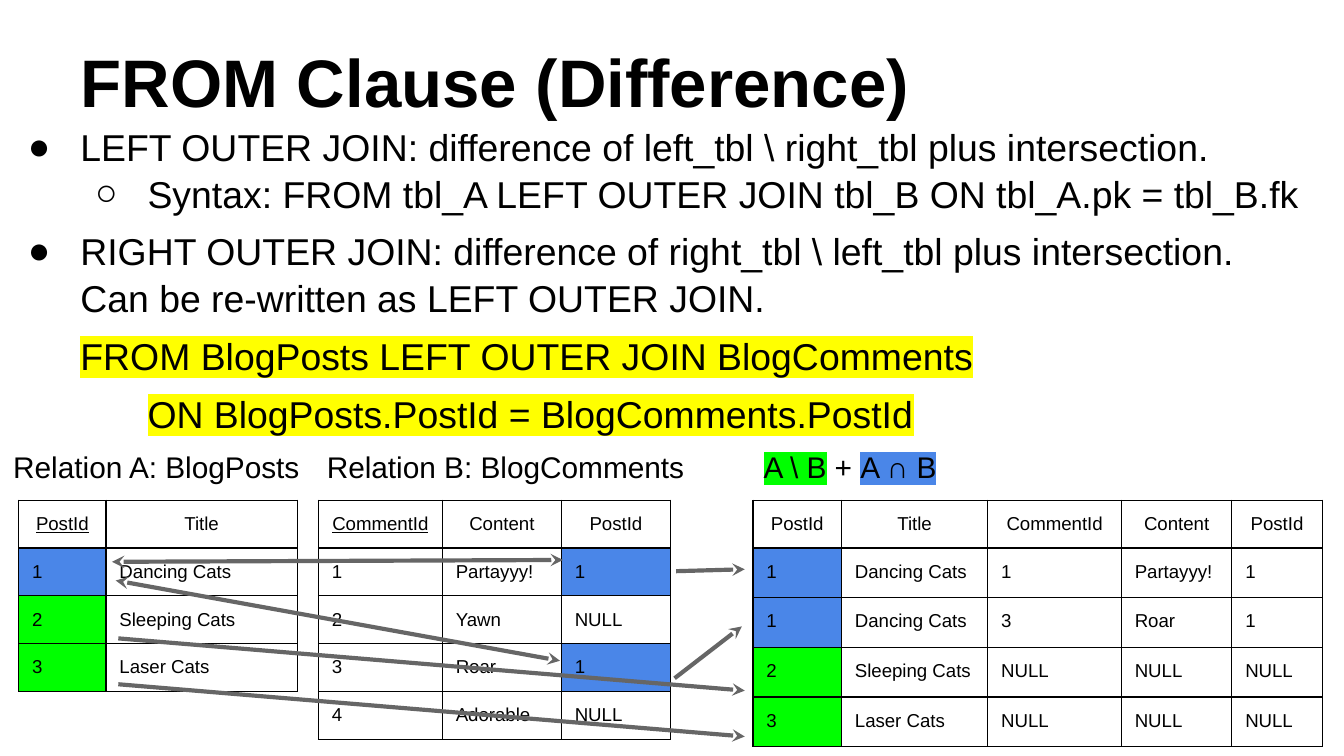
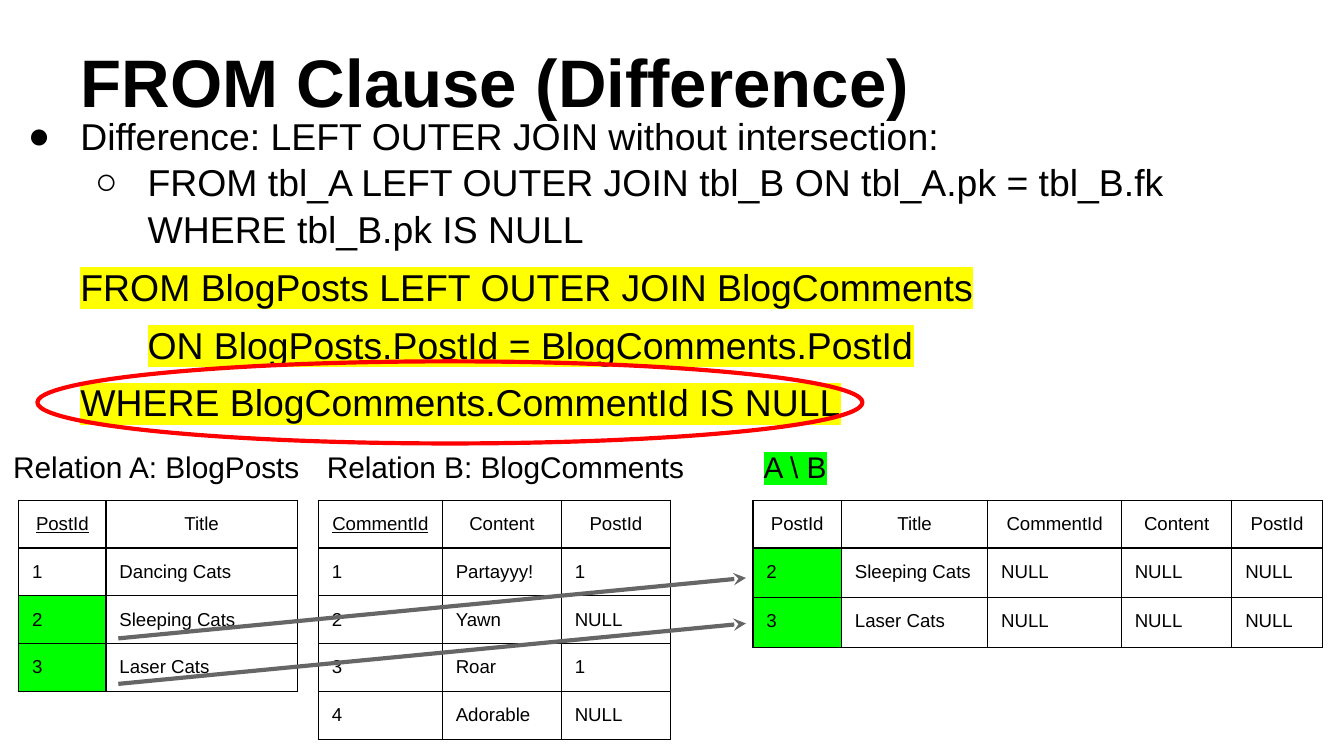
from lxml import etree
from pptx import Presentation
from pptx.dml.color import RGBColor
from pptx.enum import shapes, text
from pptx.oxml.ns import qn
from pptx.util import Pt

FONT = "Arial"
BLACK, GREY, RED = "000000", "666666", "FF0000"
YELLOW, GREEN, BLUE = "FFFF00", "00FF00", "4A86E8"
PAD = 7.2
TABLE_TOP = 268
LABEL_TOP = 232.6
MARGINS = ("margin_left", "margin_top", "margin_right", "margin_bottom")
HANG = 28.08
LEVELS = {"●": (36, -HANG, 6), "○": (72, -HANG, 0), None: (36, 0, 6)}

POSTS = [["PostId", "Title"], ["1", "Dancing Cats"], ["2", "Sleeping Cats"], ["3", "Laser Cats"]]
COMMENTS = [
    ["CommentId", "Content", "PostId"],
    ["1", "Partayyy!", "1"],
    ["2", "Yawn", "NULL"],
    ["3", "Roar", "1"],
    ["4", "Adorable", "NULL"],
]
JOIN_HEAD = POSTS[0] + COMMENTS[0]
MATCHED = [POSTS[1] + COMMENTS[1], POSTS[1] + COMMENTS[3]]
UNMATCHED = [row + ["NULL"] * 3 for row in POSTS[2:]]
QUERY = [
    (None, "FROM BlogPosts LEFT OUTER JOIN BlogComments"),
    (None, "\tON BlogPosts.PostId = BlogComments.PostId"),
]


def rgb(value):
    return RGBColor.from_string(value)


def apply(obj, **values):
    for name, value in values.items():
        setattr(obj, name, value)


def sub(parent, tag, **attrs):
    return etree.SubElement(parent, qn(tag), attrs)


def add_run(p, content, size, highlight=None, **font):
    r = p.add_run()
    r.text = content
    apply(r.font, size=Pt(size), name=FONT, **font)
    r.font.color.rgb = rgb(BLACK)
    if highlight:
        mark = etree.Element(qn("a:highlight"))
        sub(mark, "a:srgbClr", val=highlight)
        r._r.rPr.find(qn("a:solidFill")).addnext(mark)


def set_frame(tf, anchor):
    apply(tf, word_wrap=True, auto_size=text.MSO_AUTO_SIZE.NONE, vertical_anchor=anchor)
    apply(tf, **dict.fromkeys(MARGINS, Pt(PAD)))


def add_text(slide, left, top, width, height):
    tf = slide.shapes.add_textbox(Pt(left), Pt(top), Pt(width), Pt(height)).text_frame
    set_frame(tf, text.MSO_ANCHOR.TOP)
    return tf


def add_title(slide, content):
    sp = slide.shapes.title
    apply(sp, left=Pt(36), top=Pt(4.4), width=Pt(648), height=Pt(67.6))
    set_frame(sp.text_frame, text.MSO_ANCHOR.BOTTOM)
    p = sp.text_frame.paragraphs[0]
    p.alignment = text.PP_ALIGN.LEFT
    add_run(p, content, 36, bold=True)


def add_bullets(slide, top, items):
    tf = add_text(slide, 0, top, 720, 132)
    for i, (bullet, content) in enumerate(items):
        p = tf.add_paragraph() if i else tf.paragraphs[0]
        indent, hang, before = LEVELS[bullet]
        apply(p, level=int(bullet == "○"), space_before=Pt(before), line_spacing=1.04)
        pPr = p._p.get_or_add_pPr()
        pPr.set("marL", str(Pt(indent)))
        pPr.set("indent", str(Pt(hang)))
        if bullet:
            sub(sub(pPr, "a:buClr"), "a:srgbClr", val=BLACK)
            sub(pPr, "a:buFont", typeface=FONT)
            sub(pPr, "a:buChar", char=bullet)
        for n, line in enumerate(content.split("\n")):
            if n:
                p.add_line_break()
            add_run(p, line, 20, None if bullet else YELLOW)


def add_label(slide, left, width, runs):
    p = add_text(slide, left, LABEL_TOP, width, 44).paragraphs[0]
    apply(p, space_before=Pt(6), line_spacing=1.04)
    for content, highlight in runs:
        add_run(p, content, 16, highlight)


def set_borders(cell):
    tcPr = cell._tc.get_or_add_tcPr()
    for i, side in enumerate("LRTB"):
        ln = etree.Element(qn(f"a:ln{side}"), w=str(Pt(0.75)))
        sub(sub(ln, "a:solidFill"), "a:srgbClr", val=BLACK)
        tcPr.insert(i, ln)


def add_relation(slide, left, widths, heights, rows, fills, keyed=True):
    frame = slide.shapes.add_table(
        len(rows), len(widths), Pt(left), Pt(TABLE_TOP), Pt(sum(widths)), Pt(sum(heights)))
    table = frame.table
    apply(table, first_row=False, horz_banding=False)
    for column, width in zip(table.columns, widths):
        column.width = Pt(width)
    for i, (row, height) in enumerate(zip(rows, heights)):
        table.rows[i].height = Pt(height)
        for j, content in enumerate(row):
            cell = table.cell(i, j)
            apply(cell, **dict.fromkeys(MARGINS, Pt(PAD)))
            if (i, j) in fills:
                cell.fill.solid()
                cell.fill.fore_color.rgb = rgb(fills[i, j])
            else:
                cell.fill.background()
            set_borders(cell)
            p = cell.text_frame.paragraphs[0]
            p.alignment = text.PP_ALIGN.LEFT if i else text.PP_ALIGN.CENTER
            add_run(p, content, 10, underline=keyed and i == 0 and j == 0)


def add_arrow(slide, start, end, both=False):
    line = slide.shapes.add_connector(
        shapes.MSO_CONNECTOR.STRAIGHT, *(Pt(v) for v in start + end))
    line.line.width = Pt(2.25)
    line.line.color.rgb = rgb(GREY)
    ln = line.line._get_or_add_ln()
    for tag in ("a:headEnd", "a:tailEnd")[not both:]:
        sub(ln, tag, type="stealth", w="med", len="med")
    sub(line._element.spPr, "a:effectLst")


def add_ring(slide, left, top, width, height):
    sp = slide.shapes.add_shape(
        shapes.MSO_SHAPE.OVAL, Pt(left), Pt(top), Pt(width), Pt(height))
    sp.shadow.inherit = False
    sp.fill.background()
    sp.line.width = Pt(2.25)
    sp.line.color.rgb = rgb(RED)


def add_join_slide(prs, top, items, post_fills, comment_fills, result, result_fills, formula, arrows):
    slide = prs.slides.add_slide(prs.slide_layouts[5])
    add_title(slide, "FROM Clause (Difference)")
    add_bullets(slide, top, items)
    add_relation(slide, 10, [46.8, 102.4], [23] * 4, POSTS, post_fills)
    add_relation(slide, 403.4, [47.4, 78.4, 71.6, 59.2, 48.4], [15] + [26.6] * len(result),
                 [JOIN_HEAD] + result, result_fills, keyed=False)
    add_relation(slide, 170.6, [66.4, 63.8, 58.4], [23] * 5, COMMENTS, comment_fills)
    add_label(slide, 0, 171.4, [("Relation A: BlogPosts", None)])
    add_label(slide, 168, 213, [("Relation B: BlogComments", None)])
    add_label(slide, 402, 206.6, formula)
    for arrow in arrows:
        add_arrow(slide, *arrow)
    return slide


def main():
    prs = Presentation()
    apply(prs, slide_width=Pt(720), slide_height=Pt(405))
    unmatched_posts = {(2, 0): GREEN, (3, 0): GREEN}
    add_join_slide(
        prs, 58.4,
        [
            ("●", "LEFT OUTER JOIN: difference of left_tbl \\ right_tbl plus intersection."),
            ("○", "Syntax: FROM tbl_A LEFT OUTER JOIN tbl_B ON tbl_A.pk = tbl_B.fk"),
            ("●", "RIGHT OUTER JOIN: difference of right_tbl \\ left_tbl plus intersection.\n"
                  "Can be re-written as LEFT OUTER JOIN."),
        ] + QUERY,
        {(1, 0): BLUE, **unmatched_posts},
        {(1, 2): BLUE, (3, 2): BLUE},
        MATCHED + UNMATCHED,
        {(1, 0): BLUE, (2, 0): BLUE, (3, 0): GREEN, (4, 0): GREEN},
        [("A \\ B", GREEN), (" + ", None), ("A ∩ B", BLUE)],
        [
            ((60, 301), (301.6, 300), True),
            ((62, 311), (300, 354), True),
            ((63.4, 342), (399, 370)),
            ((63.4, 366.6), (399, 394.6)),
            ((362.2, 306), (399, 305)),
            ((361.4, 363.4), (397.4, 335.6)),
        ])
    slide = add_join_slide(
        prs, 52.4,
        [
            ("●", "Difference: LEFT OUTER JOIN without intersection:"),
            ("○", "FROM tbl_A LEFT OUTER JOIN tbl_B ON tbl_A.pk = tbl_B.fk\n"
                  "WHERE tbl_B.pk IS NULL"),
        ] + QUERY + [(None, "WHERE BlogComments.CommentId IS NULL")],
        unmatched_posts, {}, UNMATCHED, {(1, 0): GREEN, (2, 0): GREEN},
        [("A \\ B", GREEN)],
        [((63.4, y), (399.6, y - 32.4)) for y in (342, 366.4)])
    add_ring(slide, 20, 193.6, 442, 44)
    prs.save("out.pptx")


if __name__ == "__main__":
    main()
